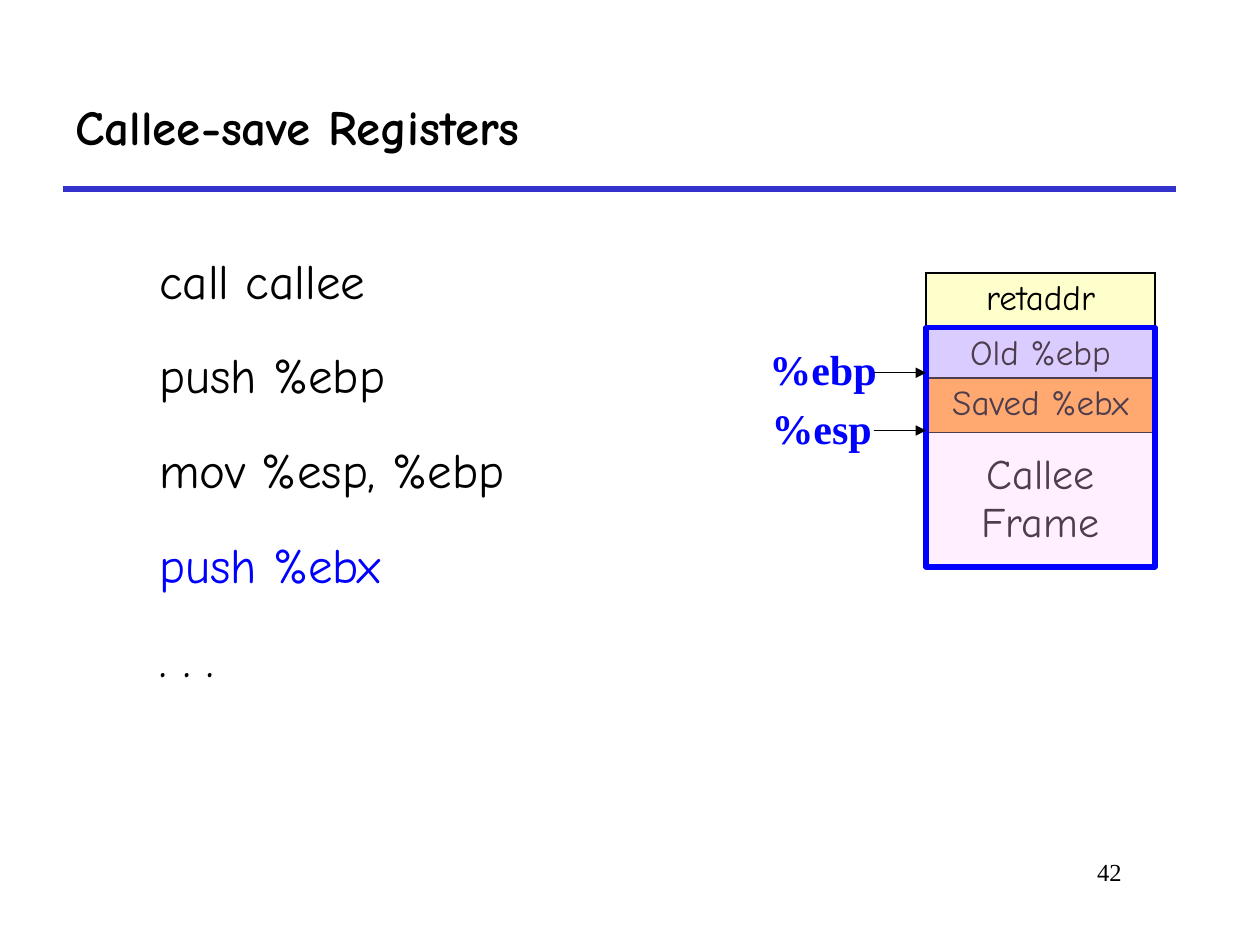
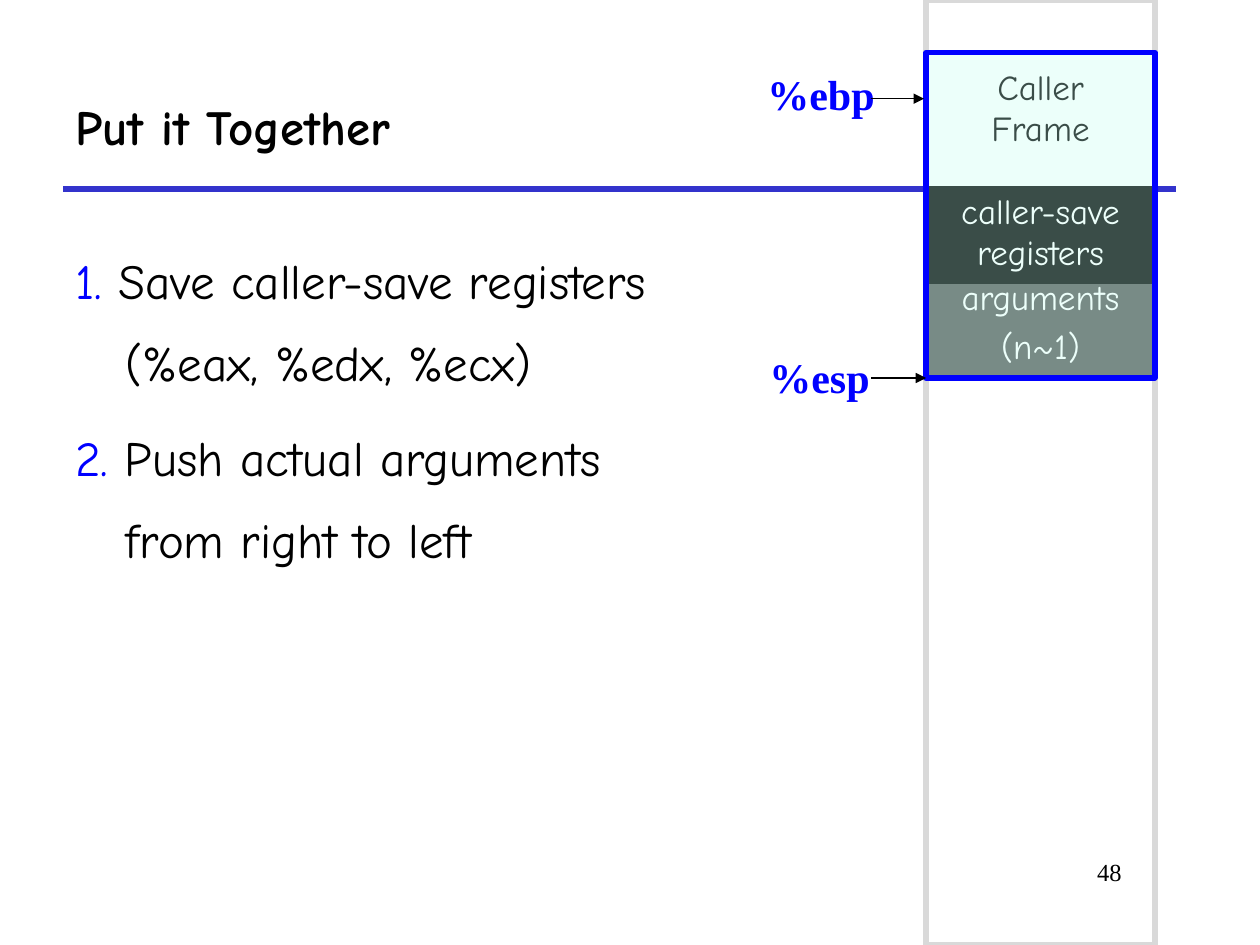
from dataclasses import dataclass

from lxml import etree
from pptx import Presentation
from pptx.dml.color import RGBColor
from pptx.enum.shapes import MSO_CONNECTOR, MSO_SHAPE
from pptx.enum.text import MSO_ANCHOR, MSO_AUTO_SIZE, PP_ALIGN
from pptx.oxml.ns import qn
from pptx.util import Emu, Inches, Pt

LEFT, CENTER, RIGHT = PP_ALIGN.LEFT, PP_ALIGN.CENTER, PP_ALIGN.RIGHT
MIDDLE = MSO_ANCHOR.MIDDLE
STRAIGHT = MSO_CONNECTOR.STRAIGHT
RECT = MSO_SHAPE.RECTANGLE
TITLE_ONLY = 5

COLS, ROWS = 120, 90
WIDTH, HEIGHT = Inches(10), Inches(7.5)
SANS, SERIF = "Comic Neue", "Times New Roman"
BLACK, WHITE, BLUE = "000000", "FFFFFF", "0000FF"
RULE_BLUE, PALE_GRAY = "3333CC", "D9D9D9"

STACK_COL, STACK_COLS = 88.2, 21.8
LABEL_COLS, LABEL_ROWS = 13, 6


@dataclass(frozen=True)
class Box:
    """Place on the grid, in columns and rows."""
    col: float
    row: float
    cols: float
    rows: float

    def emu(self) -> tuple[Emu, Emu, Emu, Emu]:
        return x(self.col), y(self.row), x(self.cols), y(self.rows)


@dataclass(frozen=True)
class Style:
    size: float
    font: str = SANS
    color: str = BLACK
    bold: bool = False
    align: PP_ALIGN = LEFT
    gap: float = 0
    spacing: float = 1
    hang: float = 0


@dataclass(frozen=True)
class Run:
    text: str
    color: str = ""


@dataclass(frozen=True)
class StackCell:
    """One block of the call stack, with its text pushed down by `drop` rows."""
    row: float
    rows: float
    lines: tuple[str, ...]
    fill: str = ""
    color: str = BLACK
    size: float = 20
    drop: float = 0.6


@dataclass(frozen=True)
class Pointer:
    """A register name and the arrow from it to the stack."""
    name: str
    col: float
    row: float
    arrow_row: float
    start: float
    end: float = STACK_COL


@dataclass(frozen=True)
class Frame:
    row: float
    rows: float
    fill: str


TITLE = Style(28, bold=True)
CODE = Style(28, gap=7, spacing=1.4)
STEPS = Style(28, gap=7, spacing=1.4, hang=4.8)
REGISTER = Style(24, SERIF, BLUE, bold=True)
PAGE = Style(14, SERIF, align=RIGHT)


def x(cols: float) -> Emu:
    return Emu(round(WIDTH * cols / COLS))


def y(rows: float) -> Emu:
    return Emu(round(HEIGHT * rows / ROWS))


def rgb(color: str) -> RGBColor:
    return RGBColor.from_string(color)


def write(tf, paragraphs: list[list[Run]], style: Style) -> None:
    """Fill a text frame; a newline in a run is a line break."""
    for i, runs in enumerate(paragraphs):
        p = tf.add_paragraph() if i else tf.paragraphs[0]
        p.alignment = style.align
        p.line_spacing = style.spacing
        p.space_before = Pt(style.gap if i else 0)
        if style.hang:
            pPr = p._p.get_or_add_pPr()
            pPr.set("marL", str(x(style.hang)))
            pPr.set("indent", str(-x(style.hang)))
        for run in runs:
            for j, text in enumerate(run.text.split("\n")):
                if j:
                    p.add_line_break()
                r = p.add_run()
                r.text = text
                r.font.name = style.font
                r.font.size = Pt(style.size)
                r.font.bold = style.bold
                r.font.color.rgb = rgb(run.color or style.color)


def add_text(slide, box: Box, paragraphs: list[list[Run]], style: Style) -> None:
    tf = slide.shapes.add_textbox(*box.emu()).text_frame
    tf.word_wrap = True
    write(tf, paragraphs, style)


def add_line(slide, start: tuple[float, float], end: tuple[float, float],
             color: str, width: float, arrow: bool = False) -> None:
    s = slide.shapes.add_connector(STRAIGHT, x(start[0]), y(start[1]),
                                   x(end[0]), y(end[1]))
    s.line.color.rgb = rgb(color)
    s.line.width = Pt(width)
    if arrow:
        etree.SubElement(s.line._get_or_add_ln(), qn("a:tailEnd"), type="triangle")
    etree.SubElement(s._element.spPr, qn("a:effectLst"))


def add_rect(slide, box: Box, line: str, fill: str = "", opacity: int = 100) -> None:
    s = slide.shapes.add_shape(RECT, *box.emu())
    s.shadow.inherit = False
    s.line.color.rgb = rgb(line)
    s.line.width = Pt(3)
    if not fill:
        s.fill.background()
        return
    s.fill.solid()
    s.fill.fore_color.rgb = rgb(fill)
    color = s._element.spPr.find(qn("a:solidFill"))[0]
    etree.SubElement(color, qn("a:alpha"), val=str(opacity * 1000))


def add_borders(cell, color: str, width: float) -> None:
    tcPr = cell._tc.get_or_add_tcPr()
    for side in ("lnL", "lnR", "lnT", "lnB"):
        ln = etree.SubElement(tcPr, qn(f"a:{side}"), w=str(Pt(width)))
        fill = etree.SubElement(ln, qn("a:solidFill"))
        etree.SubElement(fill, qn("a:srgbClr"), val=color)


def add_stack_cell(slide, block: StackCell) -> None:
    box = Box(STACK_COL, block.row, STACK_COLS, block.rows)
    table = slide.shapes.add_table(1, 1, *box.emu()).table
    table.first_row = table.horz_banding = False
    cell = table.cell(0, 0)
    cell.margin_top = y(block.drop)
    add_borders(cell, BLACK, 1.08)
    if block.fill:
        cell.fill.solid()
        cell.fill.fore_color.rgb = rgb(block.fill)
    else:
        cell.fill.background()
    write(cell.text_frame, [[Run(line)] for line in block.lines],
          Style(block.size, color=block.color, align=CENTER, gap=5))


def add_stack(slide, blocks: list[StackCell], frame: Frame,
              pointers: list[Pointer]) -> None:
    """Draw stack blocks, the tinted frame over them and the register pointers."""
    for block in blocks:
        add_stack_cell(slide, block)
    add_rect(slide, Box(STACK_COL, frame.row, STACK_COLS, frame.rows),
             BLUE, frame.fill, 30)
    for ptr in pointers:
        add_text(slide, Box(ptr.col, ptr.row, LABEL_COLS, LABEL_ROWS),
                 [[Run(ptr.name)]], REGISTER)
        add_line(slide, (ptr.start, ptr.arrow_row), (ptr.end, ptr.arrow_row),
                 BLACK, 0.75, arrow=True)


def add_slide(prs, title: str, page: str):
    """Add a slide with the shared title, rule and page number."""
    slide = prs.slides.add_slide(prs.slide_layouts[TITLE_ONLY])
    add_line(slide, (6, 18), (112, 18), RULE_BLUE, 3)
    sp = slide.shapes.title
    sp.left, sp.top, sp.width, sp.height = Box(6, 6, 106, 12).emu()
    tf = sp.text_frame
    tf.auto_size = MSO_AUTO_SIZE.NONE
    tf.vertical_anchor = MIDDLE
    write(tf, [[Run(title)]], TITLE)
    add_text(slide, Box(91, 81, 17, 6), [[Run(page)]], PAGE)
    return slide


def add_callee_save(prs) -> None:
    slide = add_slide(prs, "Callee-save Registers", "42")
    add_text(slide, Box(14, 21, 102, 63), [
        [Run("call callee")],
        [Run("push %ebp")],
        [Run("mov %esp, %ebp")],
        [Run("push %ebx", BLUE)],
        [Run(". . .")],
    ], CODE)
    add_stack(slide, [
        StackCell(31.2, 5.2, ("Old %ebp",), "CCCCFF"),
        StackCell(36, 5.2, ("Saved %ebx",), "FF9933"),
        StackCell(31.2, 22.8, ("Callee\nFrame",), size=24, drop=11.8),
        StackCell(26, 5.2, ("retaddr",), "FFFFCC"),
    ], Frame(31.2, 22.8, "FFCCFF"), [
        Pointer("%ebp", 72.1, 32.1, 35.5, 83.2),
        Pointer("%esp", 72.3, 37.7, 41, 83.2),
    ])


def add_put_together(prs) -> None:
    slide = add_slide(prs, "Put it Together", "48")
    add_rect(slide, Box(STACK_COL, 0, STACK_COLS, ROWS), PALE_GRAY)
    add_text(slide, Box(6, 21, 114, 58), [
        [Run("1. ", BLUE), Run("Save caller-save registers\n(%eax, %edx, %ecx)")],
        [Run("2. ", BLUE), Run("Push actual arguments\nfrom right to left")],
    ], STEPS)
    add_stack(slide, [
        StackCell(26, 10, ("arguments", "(n~1)"), "595959", WHITE),
        StackCell(17.8, 9.2, ("caller-save registers",), BLACK, WHITE),
        StackCell(5, 31, ("Caller\nFrame",), drop=1.6),
    ], Frame(5, 31, "C2FFF0"), [
        Pointer("%ebp", 71.9, 5.9, 9.4, 83, 88),
        Pointer("%esp", 72.1, 32.9, 36, 83),
    ])


def main() -> None:
    prs = Presentation()
    prs.slide_width, prs.slide_height = WIDTH, HEIGHT
    add_callee_save(prs)
    add_put_together(prs)
    prs.save("out.pptx")


if __name__ == "__main__":
    main()
